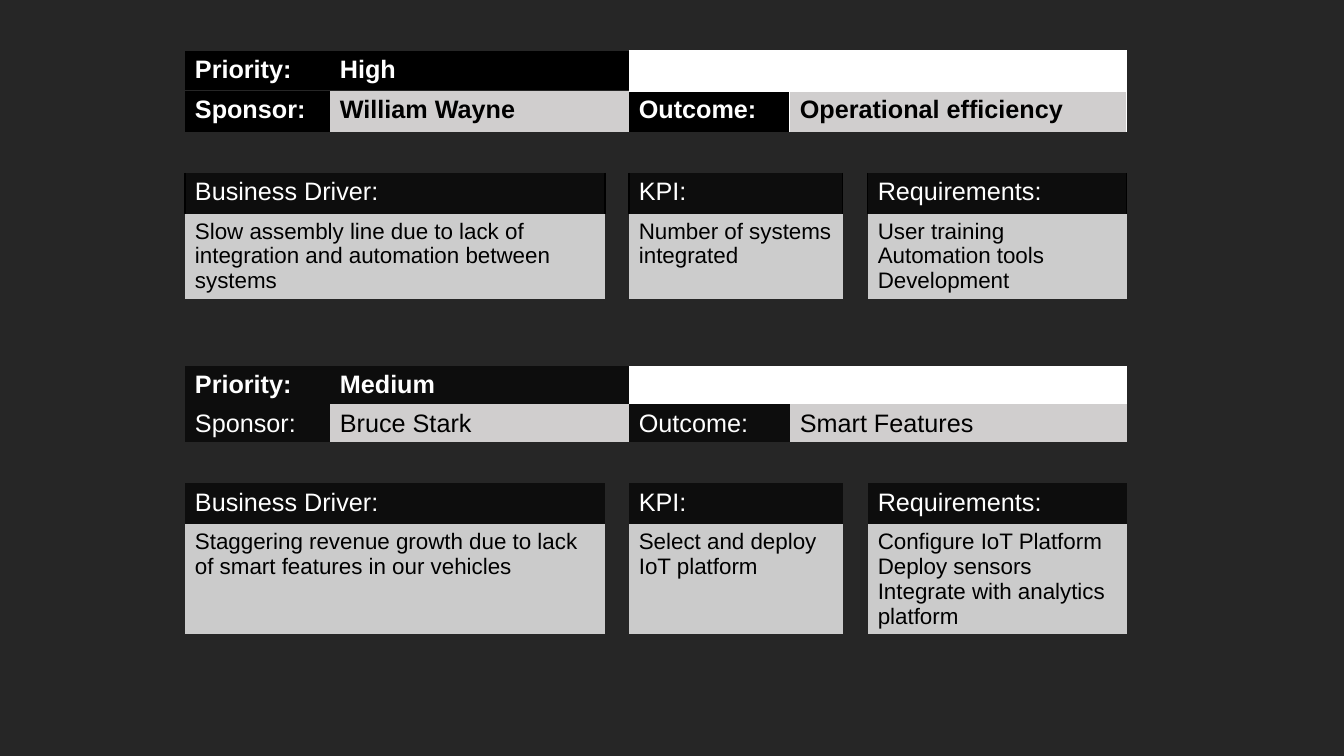
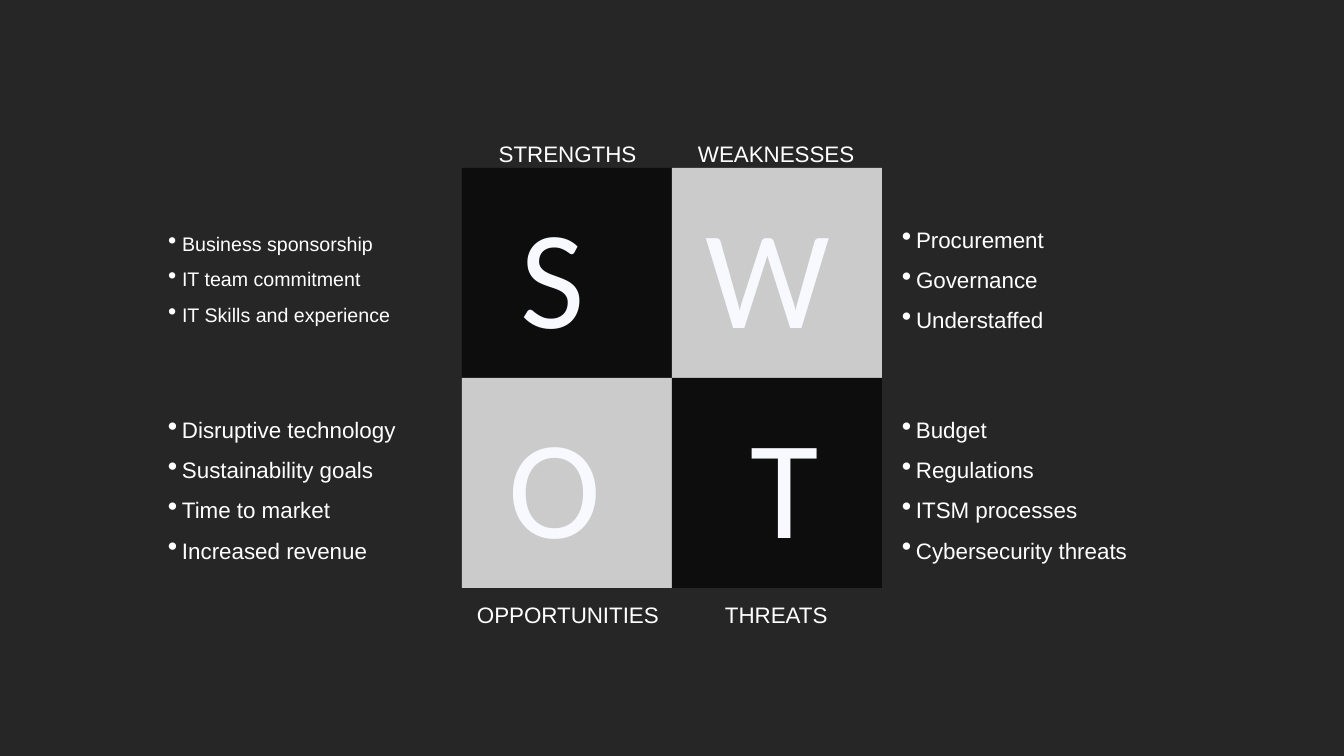
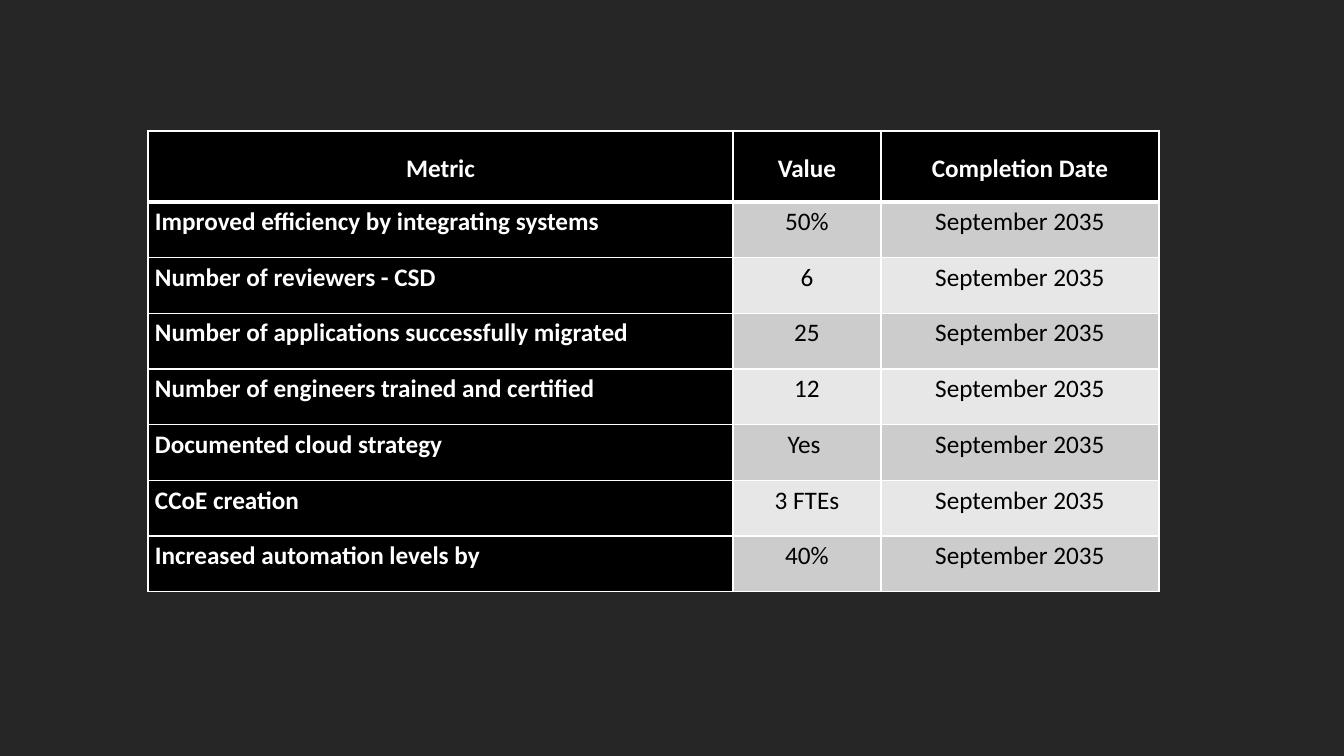
from lxml import etree
from pptx import Presentation
from pptx.dml.color import RGBColor
from pptx.enum.shapes import MSO_SHAPE
from pptx.enum.text import MSO_ANCHOR, MSO_AUTO_SIZE, PP_ALIGN
from pptx.oxml.ns import qn
from pptx.util import Pt

RECT = MSO_SHAPE.RECTANGLE
TOP, MID = MSO_ANCHOR.TOP, MSO_ANCHOR.MIDDLE
GROW = MSO_AUTO_SIZE.SHAPE_TO_FIT_TEXT
LEFT, CENTER, RIGHT = PP_ALIGN.LEFT, PP_ALIGN.CENTER, PP_ALIGN.RIGHT

SCALE = 914400 / 100.8
WIDE, HIGH = 1344, 756
BACK, BLACK, INK, WHITE = "262626", "000000", "0D0D0D", "FFFFFF"
GREY, SILVER, PALE, ICE = "CCCCCC", "D0CECE", "E7E7E7", "F7F9FF"
TILE = "CBCBCB"
PLAIN = "{2D5ABB26-0587-4C30-8999-92F81FD0307C}"  # style without lines or bands


def px(n):
    """Turn pixels into EMU."""
    return round(n * SCALE)


def rgb(code):
    """Turn a hex string into a colour."""
    return RGBColor.from_string(code)


def assign(item, values):
    """Set each attribute named in a dict."""
    for name, value in values.items():
        setattr(item, name, value)


def pads(x, y):
    """Give the four margins for a text frame or cell."""
    return {"margin_left": px(x), "margin_right": px(x),
            "margin_top": px(y), "margin_bottom": px(y)}


def write(frame, text, font="Arial", size=18, color=WHITE, bold=False,
          align=LEFT, space=None):
    """Fill a text frame, one paragraph to a line."""
    frame.text = text
    for para in frame.paragraphs:
        assign(para, {"alignment": align, "line_spacing": space})
        for run in para.runs:
            assign(run.font, {"name": font, "size": Pt(size), "bold": bold})
            run.font.color.rgb = rgb(color)


# ---- tables ----

def edge(cell, side, color, width):
    """Draw one border of a cell."""
    props = cell._tc.get_or_add_tcPr()
    line = etree.SubElement(props, qn("a:ln" + side), w=str(Pt(width)))
    fill = etree.SubElement(line, qn("a:solidFill"))
    etree.SubElement(fill, qn("a:srgbClr"), val=color)


def paint(cell, text, fill, edges=None, line=WHITE, anchor=TOP, pad=(10, 5),
          **style):
    """Set a cell's borders, fill and text."""
    edges = edges or {}
    for side in "LRTB":
        if side in edges:
            edge(cell, side, line, edges[side])
    cell.fill.solid()
    cell.fill.fore_color.rgb = rgb(fill)
    assign(cell, {"vertical_anchor": anchor, **pads(*(pad if text else (0, 0)))})
    if text:
        write(cell.text_frame, text, **style)


def grid(slide, left, top, cols, rows, cells):
    """Add a table; each cell is (text, style, span)."""
    frame = slide.shapes.add_table(len(rows), len(cols), px(left), px(top),
                                   px(sum(cols)), px(sum(rows)))
    table = frame.table
    assign(table, {"first_row": False, "horz_banding": False})
    table._tbl.tblPr.find(qn("a:tableStyleId")).text = PLAIN
    for col, width in zip(table.columns, cols):
        col.width = px(width)
    for row, height in zip(table.rows, rows):
        row.height = px(height)
    for r, line in enumerate(cells):
        c = 0
        for text, style, span in line:
            cell = table.cell(r, c)
            if span > 1:
                cell.merge(table.cell(r, c + span - 1))
            paint(cell, text, **style)
            c += span


# ---- slide 1: priorities ----

COLS = [145, 275, 24, 161, 53, 25, 259]
GAP = {"fill": BACK}
BREAK = [("", GAP, 7)]
HEADS = "Business Driver:", "KPI:", "Requirements:"


def trio(texts, style, gap=GAP):
    """Lay three cells with gaps between them across the columns."""
    one, two, three = texts
    return [(one, style, 2), ("", gap, 1), (two, style, 2),
            ("", gap, 1), (three, style, 1)]


def pair(name, goal, dark, light, sides=({}, {})):
    """Lay the sponsor and outcome row."""
    return [("Sponsor:", dark, 1), (name, light, 2),
            ("Outcome:", {**dark, "edges": sides[0]}, 1),
            (goal, {**light, "edges": sides[1]}, 3)]


def high(slide, left, top):
    """Place the high priority tables."""
    dark = {"fill": BLACK, "bold": True}
    light = {"fill": SILVER, "color": BLACK, "bold": True}
    blank = {"fill": WHITE, "edges": {"T": 1, "R": 1, "B": 3}}
    sides = {"L": 1, "R": 1}
    body = {"fill": GREY, "color": BLACK, "size": 16}
    grid(slide, left, top, [145, 299, 161, 337], [39],
         [[("Priority:", dark, 1), ("High", dark, 1),
           ("", blank, 1), ("", blank, 1)]])
    grid(slide, left, top + 40, COLS, [41, 41, 41, 84], [
        pair("William Wayne", "Operational efficiency", dark, light,
             ({"T": 1, "R": 1}, {"L": 1, "T": 1, "R": 1})),
        BREAK,
        trio(HEADS, {"fill": INK, "edges": sides, "line": BLACK},
             {**GAP, "edges": sides, "line": BLACK}),
        trio(("Slow assembly line due to lack of integration and automation "
              "between systems", "Number of systems integrated",
              "User training\nAutomation tools\nDevelopment"), body)])


def medium(slide, left, top):
    """Place the medium priority table."""
    dark = {"fill": INK}
    bold = {**dark, "bold": True}
    blank = {"fill": WHITE}
    body = {"fill": TILE, "color": BLACK, "size": 16}
    grid(slide, left, top, COLS, [38, 38, 41, 41, 110], [
        [("Priority:", bold, 1), ("Medium", bold, 2),
         ("", blank, 1), ("", blank, 3)],
        pair("Bruce Stark", "Smart Features", dark,
             {"fill": SILVER, "color": BLACK}),
        BREAK,
        trio(HEADS, dark),
        trio(("Staggering revenue growth due to lack of smart features in "
              "our vehicles", "Select and deploy IoT platform",
              "Configure IoT Platform\nDeploy sensors\n"
              "Integrate with analytics platform"), body)])


# ---- slide 2: SWOT ----

# label, label width, letter offset, letter width, list width, list size, points
SWOT = [
    ("STRENGTHS", 139, 59, 66, 233, 14,
     "Business sponsorship\nIT team commitment\nIT Skills and experience"),
    ("WEAKNESSES", 158, 34, 126, 154, 16,
     "Procurement\nGovernance\nUnderstaffed"),
    ("OPPORTUNITIES", 184, 46, 94, 242, 16,
     "Disruptive technology\nSustainability goals\nTime to market\n"
     "Increased revenue"),
    ("THREATS", 104, 79, 69, 239, 16,
     "Budget\nRegulations\nITSM processes\nCybersecurity threats"),
]


def label(slide, box, text, anchor=TOP, pad=0, **style):
    """Add a text box that does not wrap."""
    frame = slide.shapes.add_textbox(*map(px, box)).text_frame
    assign(frame, {"word_wrap": False, "auto_size": GROW,
                   "vertical_anchor": anchor, **pads(pad, pad)})
    write(frame, text, **style)
    return frame


def dots(frame):
    """Give each paragraph a hanging bullet."""
    for para in frame.paragraphs:
        props = para._p.get_or_add_pPr()
        props.set("marL", str(px(14)))
        props.set("indent", str(-px(14)))
        etree.SubElement(props, qn("a:buSzPct"), val="125000")
        etree.SubElement(props, qn("a:buChar"), char="\u2022")


def swot(slide, left, top, side):
    """Place four tiles with letters, labels and lists."""
    for n, (name, wide, shift, span, reach, size, points) in enumerate(SWOT):
        row, col = divmod(n, 2)
        x, y = left + col * side, top + row * side
        mid = y + side / 2
        tile = slide.shapes.add_shape(RECT, px(x), px(y), px(side), px(side))
        tile.shadow.inherit = False
        tile.fill.solid()
        tile.fill.fore_color.rgb = rgb(INK if row == col else TILE)
        tile.line.fill.background()
        label(slide, (x + shift, mid - 85, span, 170), name[0], MID,
              font="Calibri", size=100, color=ICE)
        label(slide, (x + (side - wide) / 2, y + side if row else y - 41,
                      wide, 35), name, size=16, space=1.5,
              align=LEFT if col else RIGHT)
        high = (points.count("\n") + 1) * (35 if size == 14 else 40) + 4
        start = left + 2 * side + 17 if col else left - 297
        dots(label(slide, (start, mid - high / 2, reach, high), points, MID,
                   pad=3, size=size, space=1.5))


# ---- slide 3: metrics ----

METRICS = [
    ("Improved efficiency by integrating systems", "50%"),
    ("Number of reviewers - CSD", "6"),
    ("Number of applications successfully migrated", "25"),
    ("Number of engineers trained and certified", "12"),
    ("Documented cloud strategy", "Yes "),
    ("CCoE creation", "3 FTEs"),
    ("Increased automation levels by", "40%"),
]


def metrics(slide, left, top, height):
    """Place the table of metrics."""
    base = {"font": "Calibri", "space": 1.15, "pad": (7, 0),
            "edges": dict.fromkeys("LRTB", 1)}
    name = {**base, "fill": BLACK, "bold": True}
    head = {**name, "align": CENTER, "anchor": MID,
            "edges": {**base["edges"], "B": 3}}
    cells = [[(t, head, 1) for t in ("Metric", "Value", "Completion Date")]]
    for n, (text, value) in enumerate(METRICS):
        body = {**base, "fill": PALE if n % 2 else GREY, "color": BLACK,
                "align": CENTER}
        if n == 0:
            body["edges"] = {**base["edges"], "T": 3}
        first = {**name, "edges": body["edges"]}
        cells.append([(text, first, 1), (value, body, 1),
                      ("September 2035", body, 1)])
    step = (height - 71) / len(METRICS)
    grid(slide, left, top, [585, 148, 278], [71] + [step] * len(METRICS), cells)


def main():
    """Build and save the slides."""
    deck = Presentation()
    assign(deck, {"slide_width": px(WIDE), "slide_height": px(HIGH)})
    back = deck.slide_master.background.fill
    back.solid()
    back.fore_color.rgb = rgb(BACK)
    blank = deck.slide_layouts[6]
    plan, view, goals = (deck.slides.add_slide(blank) for _ in range(3))
    high(plan, 185, 51)
    medium(plan, 185, 366)
    swot(view, 462, 168, 210)
    metrics(goals, 148, 131, 461)
    deck.save("out.pptx")


main()
